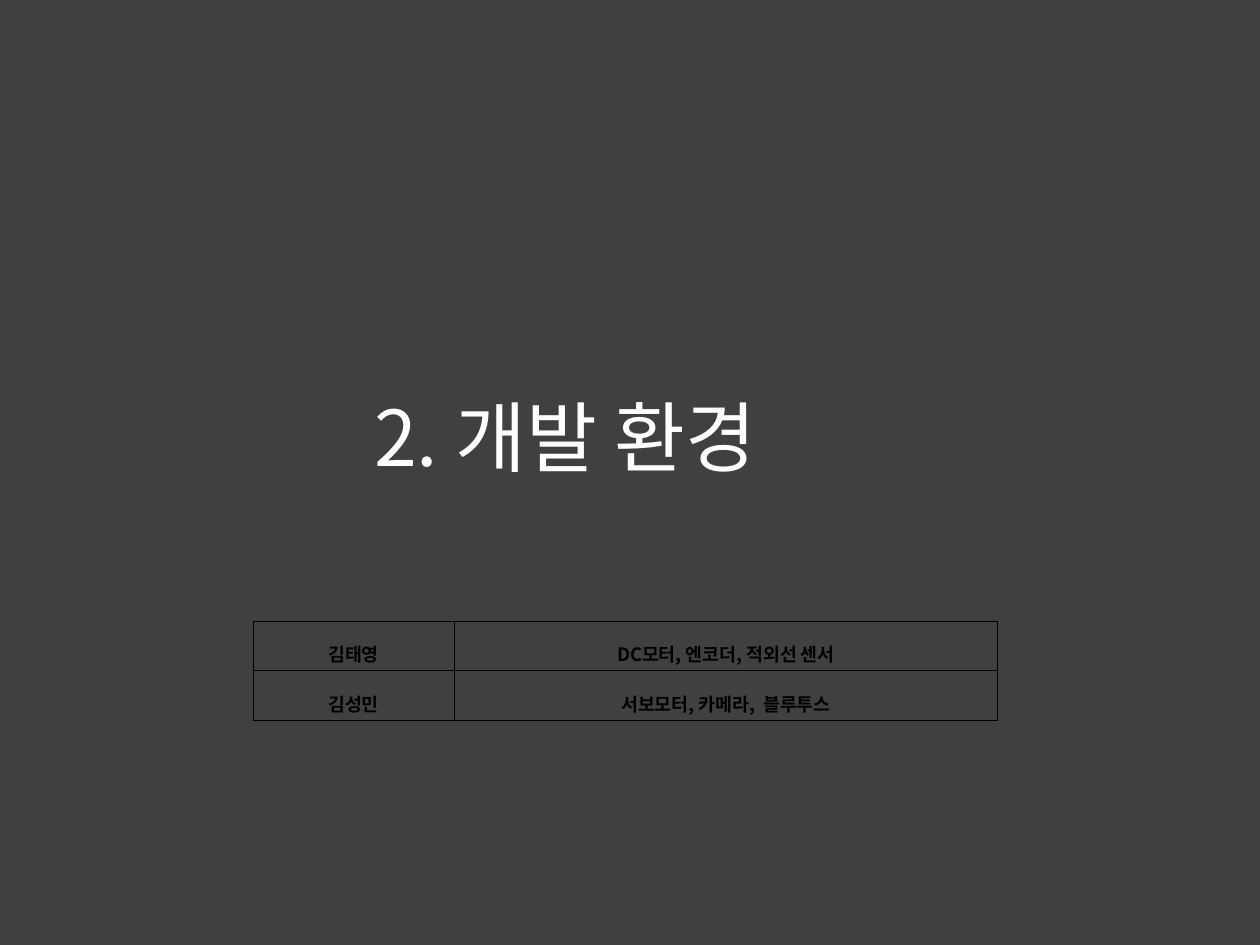
import pptx
import pptx.dml.color
import pptx.enum.text
import pptx.oxml
import pptx.oxml.ns
import pptx.util
from lxml import etree

Cm = pptx.util.Cm
Pt = pptx.util.Pt
FONT = "Noto Sans CJK KR"
COLORS = {"background": "404040", "title": "FFFFFF", "table": "000000"}
MEMBERS = [
    ("김태영", "DC모터, 엔코더, 적외선 센서"),
    ("김성민", "서보모터, 카메라,  블루투스"),
]


def rgb(name):
    """Return the named colour."""
    return pptx.dml.color.RGBColor.from_string(COLORS[name])


def add_run(p, text, size, color, bold=False):
    """Add a run with the same Latin and East Asian typeface."""
    r = p.add_run()
    r.text = text
    r.font.size = Pt(size)
    r.font.bold = bold
    r.font.color.rgb = rgb(color)
    r.font.name = FONT
    ea = etree.SubElement(r.font._element, pptx.oxml.ns.qn("a:ea"))
    ea.set("typeface", FONT)


def add_borders(cell, color, width):
    """Draw a thin line on all four sides of a cell."""
    tcPr = cell._tc.get_or_add_tcPr()
    for side in ("lnL", "lnR", "lnT", "lnB"):
        tcPr.append(pptx.oxml.parse_xml(
            f'<a:{side} {pptx.oxml.ns.nsdecls("a")} w="{Pt(width)}"><a:solidFill>'
            f'<a:srgbClr val="{COLORS[color]}"/></a:solidFill></a:{side}>'))


def place_title(s, text, left, top, width, height):
    """Place the section heading in the title placeholder."""
    sp = s.shapes.title
    sp.left, sp.top, sp.width, sp.height = left, top, width, height
    tf = sp.text_frame
    tf.word_wrap = True
    tf.auto_size = pptx.enum.text.MSO_AUTO_SIZE.NONE
    tf.vertical_anchor = pptx.enum.text.MSO_ANCHOR.MIDDLE
    p = tf.paragraphs[0]
    p.alignment = pptx.enum.text.PP_ALIGN.LEFT
    add_run(p, text, 44, "title")


def place_table(s, rows, left, top, width, height):
    """Place the table of members and the parts they handle."""
    table = s.shapes.add_table(len(rows), 2, left, top, width, height).table
    table.first_row = False
    table.horz_banding = False
    table.columns[0].width = Cm(4.06)
    table.columns[1].width = width - Cm(4.06)
    for i, row in enumerate(rows):
        for j, text in enumerate(row):
            cell = table.cell(i, j)
            cell.margin_left = cell.margin_right = Cm(0.18)
            cell.margin_top = cell.margin_bottom = Cm(0.05)
            cell.vertical_anchor = pptx.enum.text.MSO_ANCHOR.MIDDLE
            add_borders(cell, "table", 0.28)
            cell.fill.background()
            p = cell.text_frame.paragraphs[0]
            p.alignment = pptx.enum.text.PP_ALIGN.CENTER
            p.line_spacing = 1.6
            add_run(p, text, 10.5, "table", bold=True)


def main():
    """Build the section slide and save it."""
    prs = pptx.Presentation()
    prs.slide_width, prs.slide_height = Cm(25.4), Cm(19.05)
    s = prs.slides.add_slide(prs.slide_layouts[5])
    s.background.fill.solid()
    s.background.fill.fore_color.rgb = rgb("background")
    place_title(s, "2. 개발 환경", Cm(7.29), Cm(7.72), Cm(15.88), Cm(2.13))
    place_table(s, MEMBERS, Cm(5.1), Cm(12.52), Cm(15.01), Cm(2))
    prs.save("out.pptx")


if __name__ == "__main__":
    main()
